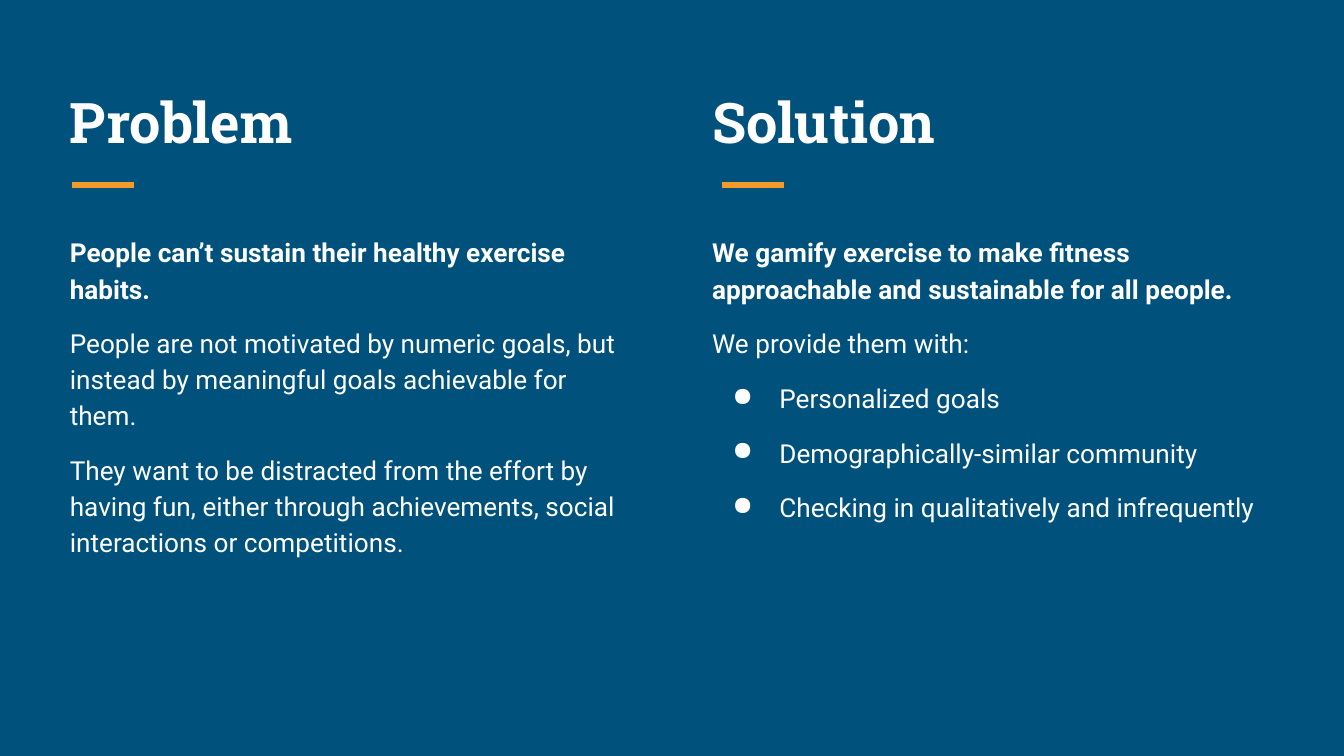
from lxml import etree
from pptx import Presentation
from pptx.dml.color import RGBColor
from pptx.enum.shapes import MSO_CONNECTOR
from pptx.enum.text import MSO_ANCHOR, MSO_AUTO_SIZE, PP_ALIGN
from pptx.oxml.ns import qn
from pptx.util import Cm, Pt

STRAIGHT = MSO_CONNECTOR.STRAIGHT
TOP, BOTTOM = MSO_ANCHOR.TOP, MSO_ANCHOR.BOTTOM
LEFT = PP_ALIGN.LEFT
NO_AUTOFIT = MSO_AUTO_SIZE.NONE

# Each column: heading, bold lead, plain paragraphs, bullets, left edge, rule start (cm)
COLUMNS = [
    {
        "heading": "Problem",
        "lead": "People can’t sustain their healthy exercise habits.",
        "plain": [
            "People are not motivated by numeric goals, but instead by "
            "meaningful goals achievable for them.",
            "They want to be distracted from the effort by having fun, either "
            "through achievements, social interactions or competitions.",
        ],
        "bullets": [],
        "left": 1.07,
        "rule": 1.37,
    },
    {
        "heading": "Solution",
        "lead": "We gamify exercise to make fitness approachable and "
                "sustainable for all people.",
        "plain": ["We provide them with:"],
        "bullets": [
            "Personalized goals",
            "Demographically-similar community",
            "Checking in qualitatively and infrequently",
        ],
        "left": 13.21,
        "rule": 13.64,
    },
]

THEME = {
    "background": RGBColor.from_string("00517C"),
    "text": RGBColor.from_string("FFFFFF"),
    "accent": RGBColor.from_string("F39B2A"),
    "heading_font": "Roboto Slab",
    "body_font": "Roboto",
    "heading_size": Pt(30),
    "body_size": Pt(14),
    "rule_width": Pt(3),
    "line_spacing": 1.15,
}
HEADING_TOP, HEADING_W, HEADING_H = 1.27, 11.63, 1.9
BODY_TOP, BODY_W, BODY_H = 4.14, 11.1, 8.7
RULE_Y, RULE_LENGTH = 3.5, 1.17


def place(sp, left, top, width, height, anchor):
    sp.left, sp.top, sp.width, sp.height = map(Cm, (left, top, width, height))
    tf = sp.text_frame
    tf.auto_size = NO_AUTOFIT
    tf.word_wrap = True
    tf.vertical_anchor = anchor
    tf.margin_left = tf.margin_right = tf.margin_top = tf.margin_bottom = Cm(0.25)
    return tf


def format_paragraph(p, role, before, after, bold):
    p.alignment = LEFT
    p.line_spacing = THEME["line_spacing"]
    p.space_before, p.space_after = Pt(before), Pt(after)
    for r in p.runs:
        r.font.name = THEME[f"{role}_font"]
        r.font.size = THEME[f"{role}_size"]
        r.font.color.rgb = THEME["text"]
        r.font.bold = bold


def add_bullet(p):
    pPr = p._p.get_or_add_pPr()
    pPr.set("marL", str(Cm(1.27)))
    pPr.set("indent", str(-Cm(0.89)))
    color = etree.SubElement(pPr, qn("a:buClr"))
    etree.SubElement(color, qn("a:srgbClr"), val=str(THEME["text"]))
    etree.SubElement(pPr, qn("a:buChar"), char="●")


def add_heading(sp, column):
    tf = place(sp, column["left"], HEADING_TOP, HEADING_W, HEADING_H, BOTTOM)
    tf.text = column["heading"]
    format_paragraph(tf.paragraphs[0], "heading", 12, 12, True)


def add_body(slide, column):
    sp = slide.shapes.add_textbox(0, 0, 0, 0)
    tf = place(sp, column["left"], BODY_TOP, BODY_W, BODY_H, TOP)
    texts = [column["lead"], *column["plain"], *column["bullets"]]
    first_bullet = 1 + len(column["plain"])
    tf.text = "\n".join(texts)
    for i, p in enumerate(tf.paragraphs):
        after = 10 if i == len(texts) - 1 else 0
        format_paragraph(p, "body", 10, after, i == 0)
        if i >= first_bullet:
            add_bullet(p)


def add_rule(slide, column):
    start = column["rule"]
    line = slide.shapes.add_connector(
        STRAIGHT, Cm(start), Cm(RULE_Y), Cm(start + RULE_LENGTH), Cm(RULE_Y))
    line.line.color.rgb = THEME["accent"]
    line.line.width = THEME["rule_width"]
    etree.SubElement(line._element.spPr, qn("a:effectLst"))


def main():
    prs = Presentation()
    prs.slide_width, prs.slide_height = Cm(25.4), Cm(14.29)
    slide = prs.slides.add_slide(prs.slide_layouts[5])
    fill = slide.background.fill
    fill.solid()
    fill.fore_color.rgb = THEME["background"]

    for i, column in enumerate(COLUMNS):
        sp = slide.shapes.title if i == 0 else slide.shapes.add_textbox(0, 0, 0, 0)
        add_heading(sp, column)
        add_body(slide, column)
        add_rule(slide, column)
    prs.save("out.pptx")


if __name__ == "__main__":
    main()
